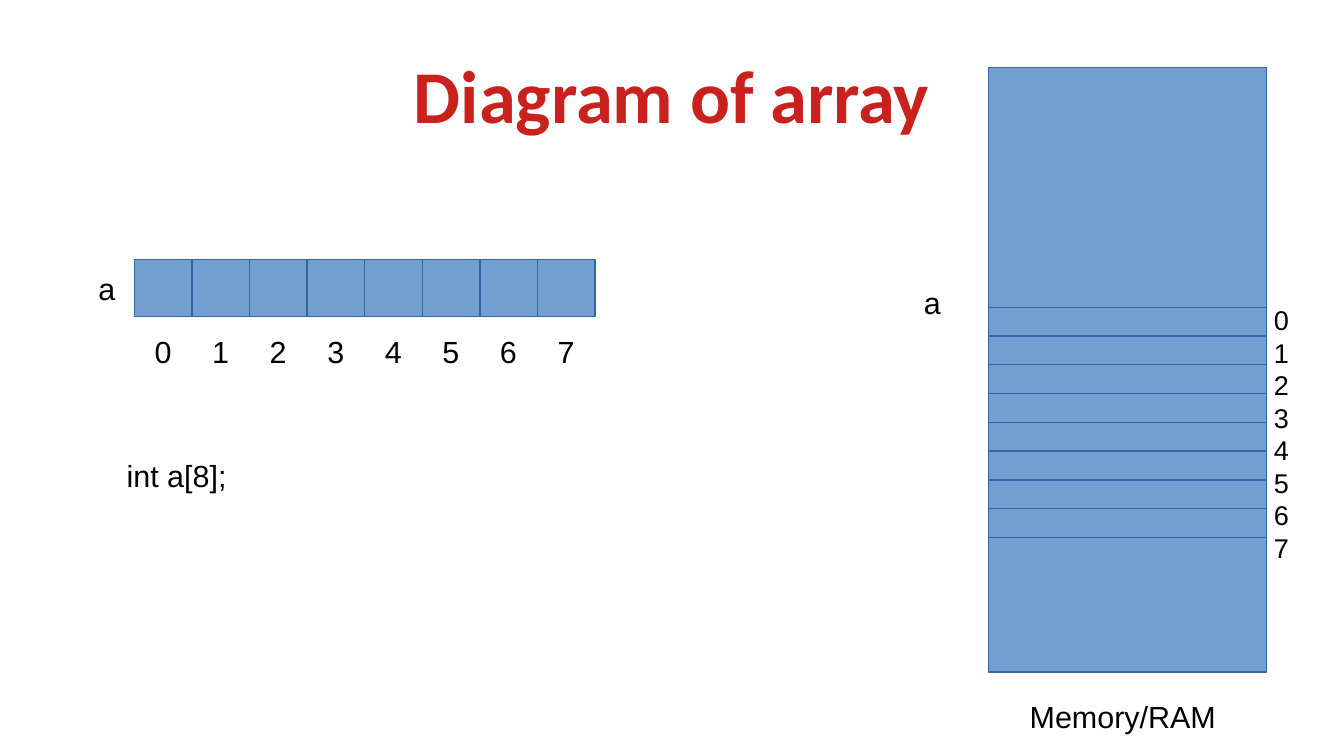
"""Build a slide that shows an array as a row of cells and as a block of memory."""
from pptx import Presentation
from pptx.dml.color import RGBColor
from pptx.enum.shapes import MSO_SHAPE as Shape
from pptx.enum.text import MSO_ANCHOR as Anchor, PP_ALIGN as Align
from pptx.oxml.ns import qn
from pptx.util import Pt
from lxml.etree import SubElement


def write(frame, text, size=18, font="Arial", color="000000", bold=False, align=Align.LEFT, spacing=None):
    frame.word_wrap = True
    for index, line in enumerate(text.split("\n")):
        para = frame.add_paragraph() if index else frame.paragraphs[0]
        para.alignment = align
        if spacing:
            para.line_spacing = Pt(spacing)
        span = para.add_run()
        span.text = line
        span.font.size = Pt(size)
        span.font.name = font
        span.font.bold = bold
        span.font.color.rgb = RGBColor.from_string(color)


deck = Presentation()
deck.slide_width, deck.slide_height = Pt(793.7), Pt(446.4)
page = deck.slides.add_slide(deck.slide_layouts[5])

title = page.shapes.title
title.left, title.top, title.width, title.height = Pt(39.7), Pt(17.8), Pt(714.3), Pt(74.6)
frame = title.text_frame
frame.margin_left = frame.margin_top = frame.margin_right = frame.margin_bottom = 0
frame.vertical_anchor = Anchor.MIDDLE
write(frame, "Diagram of array", size=44, font="Calibri", color="C9211E", bold=True, align=Align.CENTER)

count = 8
cell, array_left, array_top = 34, 79.4, 153.1
memory_left, memory_width, memory_top = 583.7, 164.4, 39.7
row, rows_top, memory_bottom = 17, 181.4, 396.8
rows_bottom = rows_top + count * row

blocks = [(array_left + index * cell, array_top, cell, cell) for index in range(count)]
blocks.append((memory_left, memory_top, memory_width, rows_top - memory_top))
blocks += [(memory_left, rows_top + index * row, memory_width, row) for index in range(count)]
blocks.append((memory_left, rows_bottom, memory_width, memory_bottom - rows_bottom))
for block in blocks:
    box = page.shapes.add_shape(Shape.RECTANGLE, *map(Pt, block))
    box.shadow.inherit = False
    box.fill.solid()
    box.fill.fore_color.rgb = RGBColor.from_string("729FCF")
    box.line.color.rgb = RGBColor.from_string("3465A4")
    box.line.width = Pt(0)

labels = [
    ("a", 51, 156, 39.7, 27.4),
    ("int a[8];", 67.7, 266.5, 374.4, 47.5),
    ("Memory/RAM", 601, 408.4, 130.3, 27.4),
    ("a", 538.6, 164.2, 45.4, 27.4),
]
for text, *place in labels:
    box = page.shapes.add_textbox(*map(Pt, place))
    write(box.text_frame, text)

indexes = [str(index) for index in range(count)]
index_left, inset = 73.4, 7.2
array_indexes = page.shapes.add_textbox(Pt(index_left), Pt(193), Pt(277.9), Pt(27.4))
write(array_indexes.text_frame, "".join("\t" + index for index in indexes))
tabs = SubElement(array_indexes.text_frame.paragraphs[0]._p.get_or_add_pPr(), qn("a:tabLst"))
for index in range(count):
    center = array_left + (index + 0.5) * cell - index_left - inset
    SubElement(tabs, qn("a:tab"), pos=str(Pt(center)), algn="ctr")

memory_indexes = page.shapes.add_textbox(Pt(745.2), Pt(175.7), Pt(28.1), Pt(149))
write(memory_indexes.text_frame, "\n".join(indexes), size=16, spacing=19.2)

deck.save("out.pptx")
